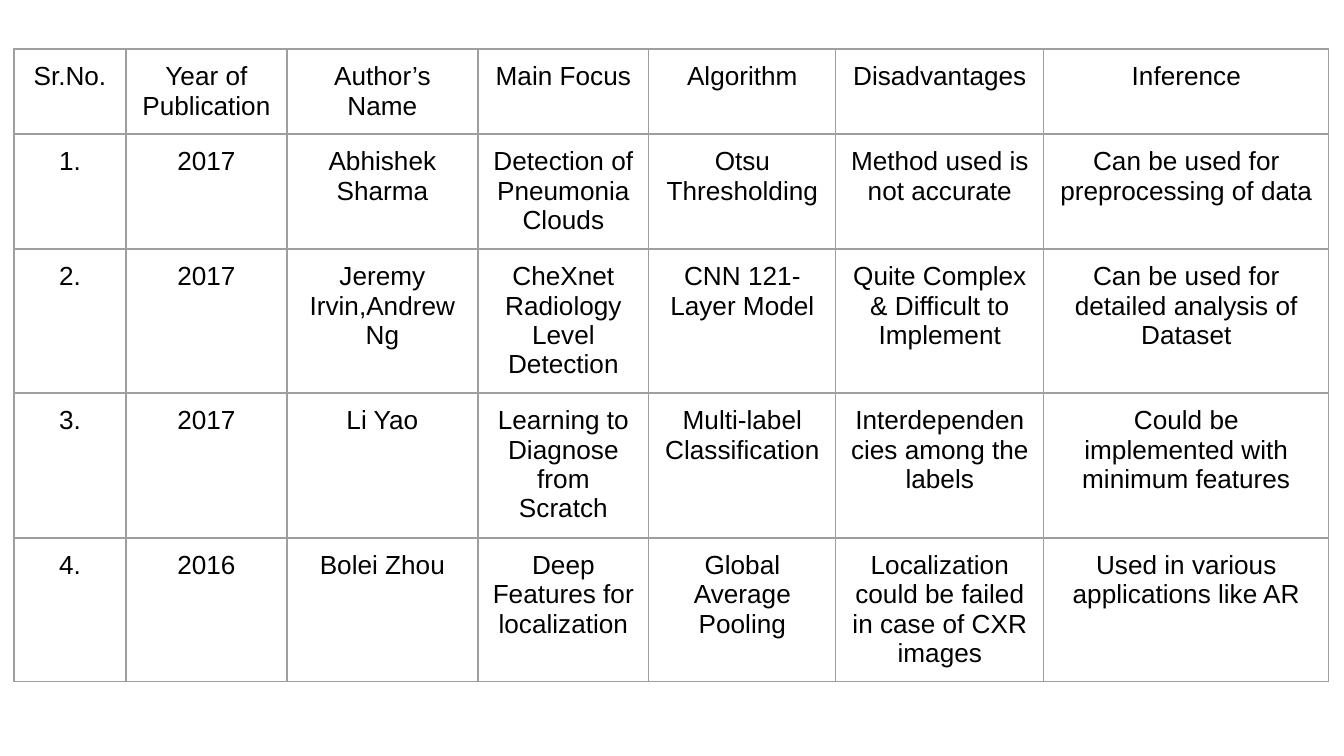
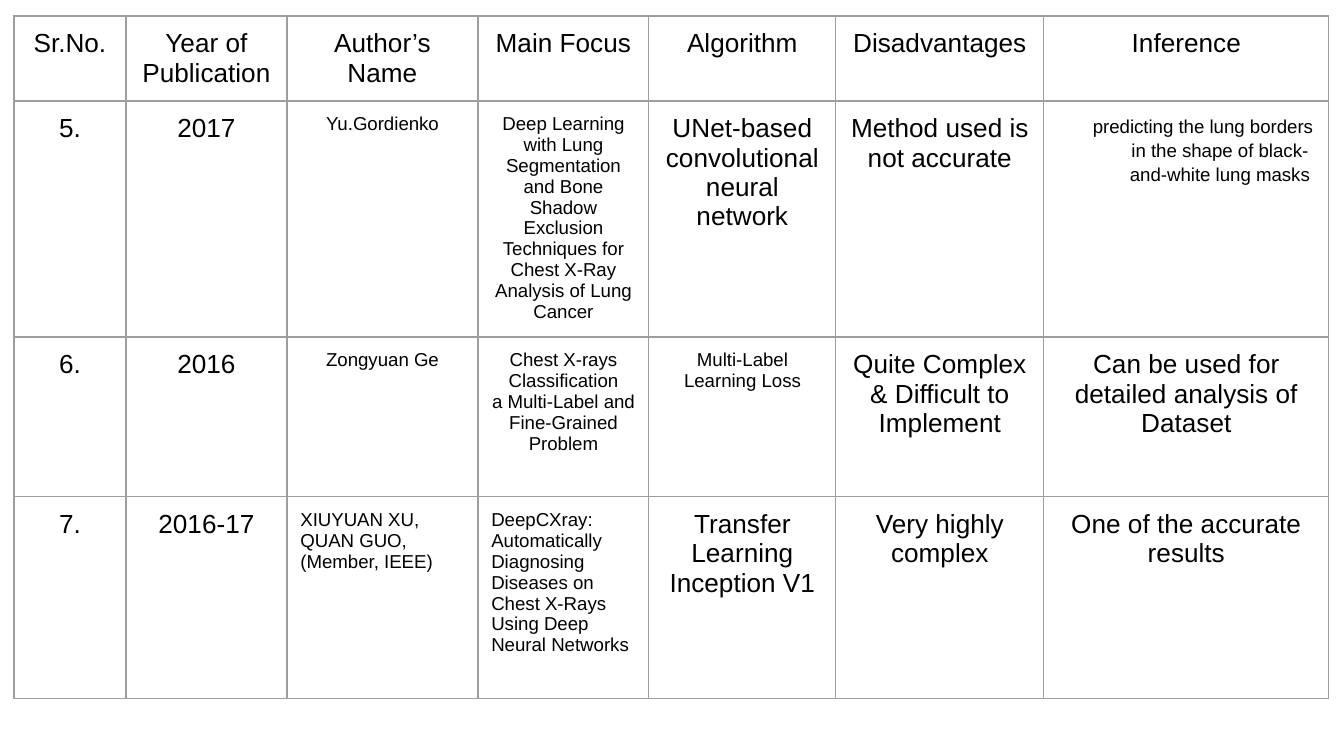
from lxml import etree
from pptx import Presentation
from pptx.dml.color import RGBColor
from pptx.enum.text import PP_ALIGN as Align
from pptx.oxml import parse_xml
from pptx.oxml.ns import nsdecls
from pptx.util import Pt

EMU_PER_PX = 914400 / 134.4
COLORS = {"text": "000000", "border": "9E9E9E"}
FONT = "Arial"
TABLE_LEFT = 14
CELL_PAD = 13
COLUMN_WIDTHS = [112, 161, 191, 171, 187, 208, 285]
HEADINGS = ["Sr.No.", "Year of Publication", "Author’s Name", "Main Focus",
            "Algorithm", "Disadvantages", "Inference"]

# Formats of the cells that differ from 14 pt centred
SMALL = {"size": 10}
SMALL_LEFT = {"size": 10, "align": Align.LEFT}
SMALL_HANGING = {"size": 10, "indent": 67, "first_line": -34, "spacing": 1.15}

PAPER_TABLES = [
    {
        "top": 49,
        "heights": [85, 115, 144, 145, 144],
        "papers": [
            ["1.", "2017", "Abhishek Sharma", "Detection of Pneumonia Clouds",
             "Otsu Thresholding", "Method used is not accurate",
             "Can be used for preprocessing of data"],
            ["2.", "2017", "Jeremy Irvin,Andrew Ng",
             "CheXnet Radiology Level Detection", "CNN 121-Layer Model",
             "Quite Complex & Difficult to Implement",
             "Can be used for detailed analysis of Dataset"],
            ["3.", "2017", "Li Yao", "Learning to Diagnose from Scratch",
             "Multi-label Classification", "Interdependencies among the labels",
             "Could be implemented with minimum features"],
            ["4.", "2016", "Bolei Zhou", "Deep Features for localization",
             "Global Average Pooling",
             "Localization could be failed in case of CXR images",
             "Used in various applications like AR"],
        ],
        "formats": {},
    },
    {
        "top": 16,
        "heights": [85, 236, 160, 202],
        "papers": [
            ["5.", "2017", "Yu.Gordienko",
             "Deep Learning with Lung Segmentation and Bone Shadow Exclusion "
             "Techniques for Chest X-Ray Analysis of Lung Cancer",
             "UNet-based convolutional neural network",
             "Method used is not accurate",
             "predicting the lung borders in the shape of "
             "black-and-white lung masks"],
            ["6.", "2016", "Zongyuan Ge",
             "Chest X-rays Classification\n"
             "a Multi-Label and Fine-Grained Problem",
             "Multi-Label Learning Loss",
             "Quite Complex & Difficult to Implement",
             "Can be used for detailed analysis of Dataset"],
            ["7.", "2016-17", "XIUYUAN XU, QUAN GUO, (Member, IEEE)",
             "DeepCXray: Automatically Diagnosing Diseases on Chest X-Rays "
             "Using Deep Neural Networks",
             "Transfer Learning Inception V1", "Very highly complex",
             "One of the accurate results"],
        ],
        # Keyed by table row and column
        "formats": {
            (1, 2): SMALL, (1, 3): SMALL, (1, 6): SMALL_HANGING,
            (2, 2): SMALL, (2, 3): SMALL, (2, 4): SMALL,
            (3, 2): SMALL_LEFT, (3, 3): SMALL_LEFT,
        },
    },
]


def px(length):
    return round(length * EMU_PER_PX)


def write_cell(cell, text, size=14, align=Align.CENTER, indent=0,
               first_line=0, spacing=None):
    """Fill a cell with text, one paragraph a line, and draw its borders."""
    cell.margin_top = cell.margin_bottom = px(CELL_PAD)
    properties = cell._tc.get_or_add_tcPr()
    for side in ("lnL", "lnR", "lnT", "lnB"):
        properties.append(parse_xml(
            f'<a:{side} {nsdecls("a")} w="{Pt(0.75)}"><a:solidFill>'
            f'<a:srgbClr val="{COLORS["border"]}"/></a:solidFill></a:{side}>'))
    cell.fill.background()

    cell.text_frame.text = text
    for para in cell.text_frame.paragraphs:
        para.alignment = align
        para.line_spacing = spacing
        if indent:
            layout = para._p.get_or_add_pPr()
            layout.set("marL", str(px(indent)))
            layout.set("indent", str(px(first_line)))
        for span in para.runs:
            span.font.name = FONT
            span.font.size = Pt(size)
            span.font.color.rgb = RGBColor.from_string(COLORS["text"])


deck = Presentation()
deck.slide_width, deck.slide_height = px(1344), px(756)

for content in PAPER_TABLES:
    page = deck.slides.add_slide(deck.slide_layouts[6])
    rows = [HEADINGS] + content["papers"]
    table = page.shapes.add_table(
        len(rows), len(HEADINGS), px(TABLE_LEFT), px(content["top"]),
        px(sum(COLUMN_WIDTHS)), px(sum(content["heights"]))).table
    table.first_row = table.horz_banding = False
    for column, width in zip(table.columns, COLUMN_WIDTHS):
        column.width = px(width)
    for row, height in zip(table.rows, content["heights"]):
        row.height = px(height)
    for r, texts in enumerate(rows):
        for c, text in enumerate(texts):
            write_cell(table.cell(r, c), text, **content["formats"].get((r, c), {}))

deck.save("out.pptx")
